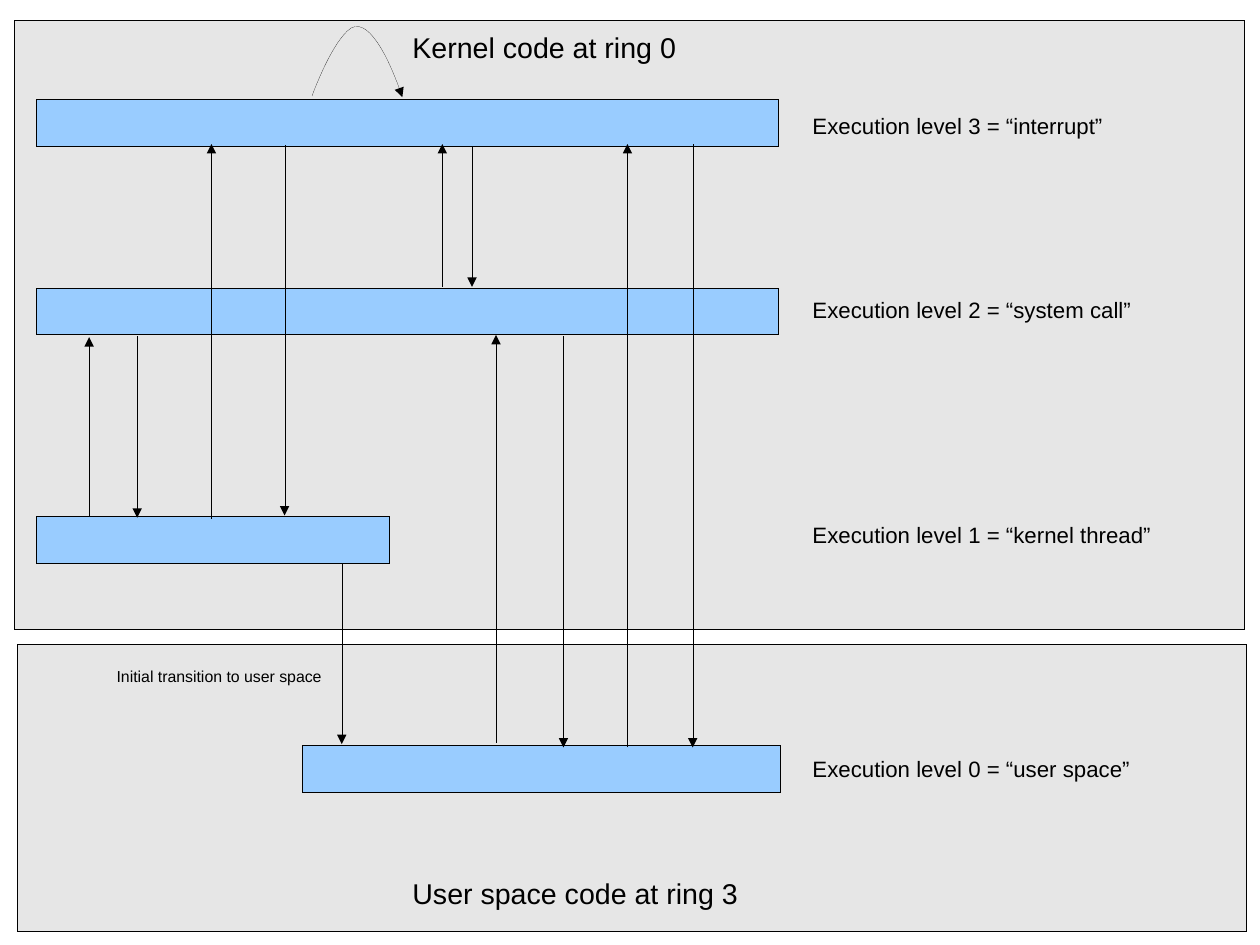
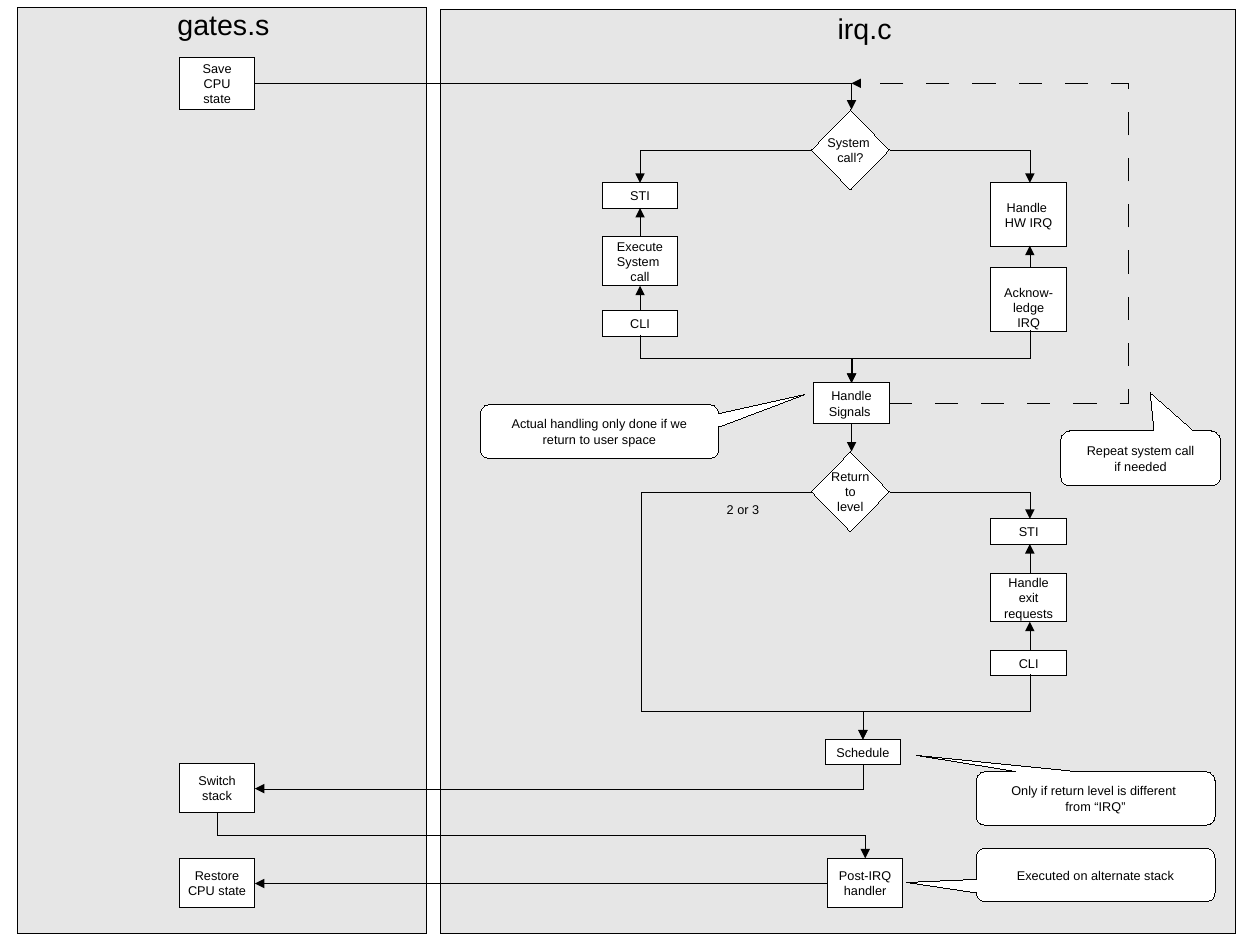
from dataclasses import dataclass

import pptx
import pptx.dml.color
import pptx.enum.shapes
import pptx.enum.text
import pptx.oxml.ns
import pptx.util
from lxml import etree

MSO = pptx.enum.shapes.MSO_SHAPE
LINK = pptx.enum.shapes.MSO_CONNECTOR
ALIGN = pptx.enum.text.PP_ALIGN
qn = pptx.oxml.ns.qn
Point = tuple[float, float]


@dataclass(frozen=True)
class Theme:
    font: str = "Arial"
    ink: str = "000000"
    panel: str = "E6E6E6"
    bar: str = "99CCFF"
    node: str = "FFFFFF"
    title: int = 18
    label: int = 14
    note: int = 10
    small: int = 8
    cell: float = 0.1    # inches per grid column and per grid row
    width: int = 28      # slide size in centimetres
    height: int = 21
    dash: int = 1900000  # dash and gap, in thousandths of a percent of the line


T = Theme()


@dataclass(frozen=True)
class Box:
    """A place on the grid, in columns and rows."""
    x: float
    y: float
    w: float
    h: float


@dataclass(frozen=True)
class Level:
    bar: Box
    label: str
    label_y: float


@dataclass(frozen=True)
class Node:
    text: str
    x: float
    y: float
    h: float
    w: float = 6.6
    kind: int = MSO.FLOWCHART_PROCESS
    top: float = 0.5
    bottom: float = 0.5


@dataclass(frozen=True)
class Callout:
    text: str
    box: Box
    tip: Point


@dataclass(frozen=True)
class Label:
    text: str
    box: Box
    size: int
    align: int = ALIGN.LEFT


def grid(n: float) -> int:
    return pptx.util.Inches(n * T.cell)


def rgb(code: str):
    return pptx.dml.color.RGBColor.from_string(code)


def hairline(shape) -> None:
    """Set the thinnest line; width 0 must be written out to override the style."""
    shape.line.color.rgb = rgb(T.ink)
    shape.element.spPr.find(qn("a:ln")).set("w", "0")


def arrowhead(shape) -> None:
    ln = shape.element.spPr.find(qn("a:ln"))
    etree.SubElement(ln, qn("a:tailEnd"), type="triangle")


def write(shape, text: str, size: int, align, wrap: bool = True,
          top: float = 0.5, bottom: float = 0.5) -> None:
    tf = shape.text_frame
    tf.text = text
    tf.word_wrap = wrap
    tf.margin_left = tf.margin_right = grid(1)
    tf.margin_top, tf.margin_bottom = grid(top), grid(bottom)
    for p in tf.paragraphs:
        p.alignment = align
        p.font.size = pptx.util.Pt(size)
        p.font.name = T.font
        p.font.color.rgb = rgb(T.ink)


def add_box(s, box: Box, fill: str, kind=MSO.RECTANGLE):
    sp = s.shapes.add_shape(kind, grid(box.x), grid(box.y), grid(box.w), grid(box.h))
    sp.shadow.inherit = False
    sp.fill.solid()
    sp.fill.fore_color.rgb = rgb(fill)
    hairline(sp)
    return sp


def add_label(s, label: Label) -> None:
    b = label.box
    sp = s.shapes.add_textbox(grid(b.x), grid(b.y), grid(b.w), grid(b.h))
    write(sp, label.text, label.size, label.align)


def add_node(s, node: Node) -> None:
    sp = add_box(s, Box(node.x, node.y, node.w, node.h), T.node, node.kind)
    write(sp, node.text, T.small, ALIGN.CENTER, False, node.top, node.bottom)
    sp.text_frame.vertical_anchor = pptx.enum.text.MSO_ANCHOR.MIDDLE


def add_callout(s, callout: Callout) -> None:
    sp = add_box(s, callout.box, T.node, MSO.ROUNDED_RECTANGULAR_CALLOUT)
    sp.adjustments[0], sp.adjustments[1] = callout.tip
    write(sp, callout.text, T.small, ALIGN.CENTER)
    sp.text_frame.vertical_anchor = pptx.enum.text.MSO_ANCHOR.MIDDLE


def add_route(s, *points: Point, dashed: bool = False) -> None:
    """Draw one arrow through right-angled points, as a straight or bent connector."""
    (x0, y0), (x1, y1) = points[0], points[-1]
    dx, dy = x1 - x0, y1 - y0
    bends = len(points) - 2
    downward = bends > 0 and points[1][0] == x0
    begin, end = (x0, y0), (x1, y1)
    if downward:
        # The frame of a turned connector lies on its side around the same centre.
        cx, cy = (x0 + x1) / 2, (y0 + y1) / 2
        half_w, half_h = abs(dy) / 2, abs(dx) / 2
        begin, end = (cx - half_w, cy - half_h), (cx + half_w, cy + half_h)
    c = s.shapes.add_connector(LINK.ELBOW if bends else LINK.STRAIGHT,
                               *map(grid, begin + end))
    hairline(c)
    spPr = c.element.spPr
    if downward:
        xfrm = spPr.find(qn("a:xfrm"))
        xfrm.set("rot", str((270 if dx > 0 else 90) * 60000))
        if dx > 0:
            xfrm.set("flipH", "1")
    if bends:
        geom = spPr.find(qn("a:prstGeom"))
        geom.set("prst", f"bentConnector{bends + 1}")
        along, across = ((1, dy), (0, dx)) if downward else ((0, dx), (1, dy))
        for i, (axis, length) in enumerate((along, across)[:bends - 1], 1):
            share = (points[i][axis] - points[0][axis]) / length
            etree.SubElement(geom.find(qn("a:avLst")), qn("a:gd"), name=f"adj{i}",
                             fmla=f"val {round(share * 100000)}")
    if dashed:
        dash = etree.SubElement(spPr.find(qn("a:ln")), qn("a:custDash"))
        etree.SubElement(dash, qn("a:ds"), d=str(T.dash), sp=str(T.dash))
    arrowhead(c)
    etree.SubElement(spPr, qn("a:effectLst"))


def bezier(a: Point, b: Point, c: Point, d: Point, steps: int = 16) -> list[Point]:
    ts = [i / steps for i in range(1, steps + 1)]
    x, y = ([(1 - t) ** 3 * a[k] + 3 * (1 - t) ** 2 * t * b[k]
             + 3 * (1 - t) * t ** 2 * c[k] + t ** 3 * d[k] for t in ts]
            for k in (0, 1))
    return list(zip(x, y))


def add_arc(s, start: Point, *curves: tuple[Point, Point, Point]) -> None:
    points = [start]
    for curve in curves:
        points += bezier(points[-1], *curve)
    path = [(grid(x), grid(y)) for x, y in points]
    builder = s.shapes.build_freeform(*path[0])
    builder.add_line_segments(path[1:], close=False)
    sp = builder.convert_to_shape()
    sp.shadow.inherit = False
    sp.fill.background()
    hairline(sp)
    arrowhead(sp)


def build_levels(s) -> None:
    for panel in (Box(1.3, 1.8, 107.6, 53.3), Box(1.5, 56.4, 107.6, 25.1)):
        add_box(s, panel, T.panel)
    levels = (
        Level(Box(3.2, 8.7, 64.9, 4.1), "Execution level 3 = “interrupt”", 9.3),
        Level(Box(3.2, 25.2, 64.9, 4.1), "Execution level 2 = “system call”", 25.4),
        Level(Box(3.2, 45.2, 30.9, 4.1), "Execution level 1 = “kernel thread”", 45.1),
        Level(Box(26.5, 65.2, 41.8, 4.1), "Execution level 0 = “user space”", 65.6),
    )
    for level in levels:
        add_box(s, level.bar, T.bar)
        add_label(s, Label(level.label, Box(70.1, level.label_y, 36.6, 3.2), T.label))
    for label in (
        Label("User space code at ring 3", Box(35.1, 76.1, 36.6, 3.8), T.title),
        Label("Kernel code at ring 0", Box(35.1, 2.1, 36.6, 3.8), T.title),
        Label("Initial transition to user space", Box(5.7, 57.8, 23.4, 2.5),
              T.note, ALIGN.RIGHT),
    ):
        add_label(s, label)
    for x, y_from, y_to in (
        (7.8, 45.2, 29.5), (12, 29.4, 45.3), (43.4, 65, 29.3), (49.3, 29.4, 65.4),
        (18.5, 45.4, 12.6), (24.9, 12.7, 45.1), (29.9, 49.3, 65.1),
        (54.9, 65.4, 12.6), (60.6, 12.6, 65.4), (38.7, 25.1, 12.6), (41.3, 12.8, 25.1),
    ):
        add_route(s, (x, y_from), (x, y_to))
    add_arc(s, (27.3, 8.4),
            ((27.3, 8.4), (28.8, 4.2), (30.4, 2.7)),
            ((32.1, 1), (34.1, 5.2), (35.2, 8.5)))


def build_interrupt_flow(s) -> None:
    for panel in (Box(38.5, 0.8, 69.6, 80.9), Box(1.5, 0.7, 35.8, 81)):
        add_box(s, panel, T.panel)
    for label in (
        Label("irq.c", Box(52, 0.5, 47.3, 3.8), T.title, ALIGN.CENTER),
        Label("gates.s", Box(3.2, 0.1, 32.7, 3.8), T.title, ALIGN.CENTER),
        Label("2 or 3", Box(62.6, 43.4, 5.8, 2.2), T.small),
    ):
        add_label(s, label)

    gates, calls, requests = 15.7, 52.7, 86.7
    for text, y in (("System \vcall?", 9.6), ("Return\v to \vlevel", 39.5)):
        add_node(s, Node(text, 71, y, 7, 6.8, MSO.FLOWCHART_DECISION))
    for node in (
        Node("Save\vCPU\vstate", gates, 5, 4.6),
        Node("Switch\vstack", gates, 66.8, 4.3),
        Node("Restore\vCPU state", gates, 75.1, 4.3),
        Node("STI", calls, 16, 2.2),
        Node("Execute\nSystem \ncall", calls, 20.7, 4.3),
        Node("CLI", calls, 27.2, 2.2),
        Node("Handle \nHW IRQ", requests, 16, 5.6),
        Node("Acknow-\nledge\nIRQ", requests, 23.4, 5.6, top=1.4, bottom=0),
        Node("STI", requests, 45.4, 2.2),
        Node("Handle\nexit\nrequests", requests, 50.2, 4.2),
        Node("CLI", requests, 56.9, 2.2),
        Node("Handle\nSignals ", 71.2, 33.5, 3.6),
        Node("Schedule", 72.2, 64.7, 2.2),
        Node("Post-IRQ\nhandler", 72.4, 75.1, 4.3),
    ):
        add_node(s, node)

    left, mid, right = 56, 74.5, 90.1
    for x, y_from, y_to in (
        (left, 20.7, 18.2), (left, 27.2, 25), (right, 23.4, 21.5),
        (right, 50.2, 47.6), (right, 56.9, 54.4), (mid, 37.1, 39.5),
    ):
        add_route(s, (x, y_from), (x, y_to))
    for route in (
        ((71, 13.1), (left, 13.1), (left, 16)),
        ((77.9, 13.1), (right, 13.1), (right, 16)),
        ((left, 29.3), (left, 31.3), (mid, 31.3), (mid, 33.5)),
        ((right, 28.9), (right, 31.3), (mid, 31.3), (mid, 33.5)),
        ((77.9, 43.1), (right, 43.1), (right, 45.4)),
        ((71, 43.1), (56.1, 43.1), (56.1, 62.2), (75.5, 62.2), (75.5, 64.7)),
        ((right, 59), (right, 62.2), (75.5, 62.2), (75.5, 64.7)),
        ((75.5, 66.9), (75.5, 69), (22.3, 69)),
        ((22.3, 7.3), (mid, 7.3), (mid, 9.6)),
        ((19, 71.1), (19, 73.1), (75.7, 73.1), (75.7, 75.1)),
        ((72.4, 77.3), (22.3, 77.3)),
    ):
        add_route(s, *route)
    add_route(s, (77.8, 35.3), (98.7, 35.3), (98.7, 7.3), (mid, 7.3), dashed=True)

    for callout in (
        Callout("Actual handling only done if we return to user space",
                Box(42, 35.4, 20.9, 4.7), (0.86, -0.69)),
        Callout("Only if return level is different \vfrom “IRQ”",
                Box(85.4, 67.5, 20.9, 4.7), (-0.75, -0.8)),
        Callout("Executed on alternate stack",
                Box(85.4, 74.2, 20.9, 4.7), (-0.79, 0.14)),
        Callout("Repeat system call\vif needed",
                Box(92.8, 37.7, 14, 4.8), (0.06, -1.2)),
    ):
        add_callout(s, callout)


def main() -> None:
    prs = pptx.Presentation()
    prs.slide_width = pptx.util.Cm(T.width)
    prs.slide_height = pptx.util.Cm(T.height)
    for build in (build_levels, build_interrupt_flow):
        build(prs.slides.add_slide(prs.slide_layouts[6]))
    prs.save("out.pptx")


if __name__ == "__main__":
    main()
